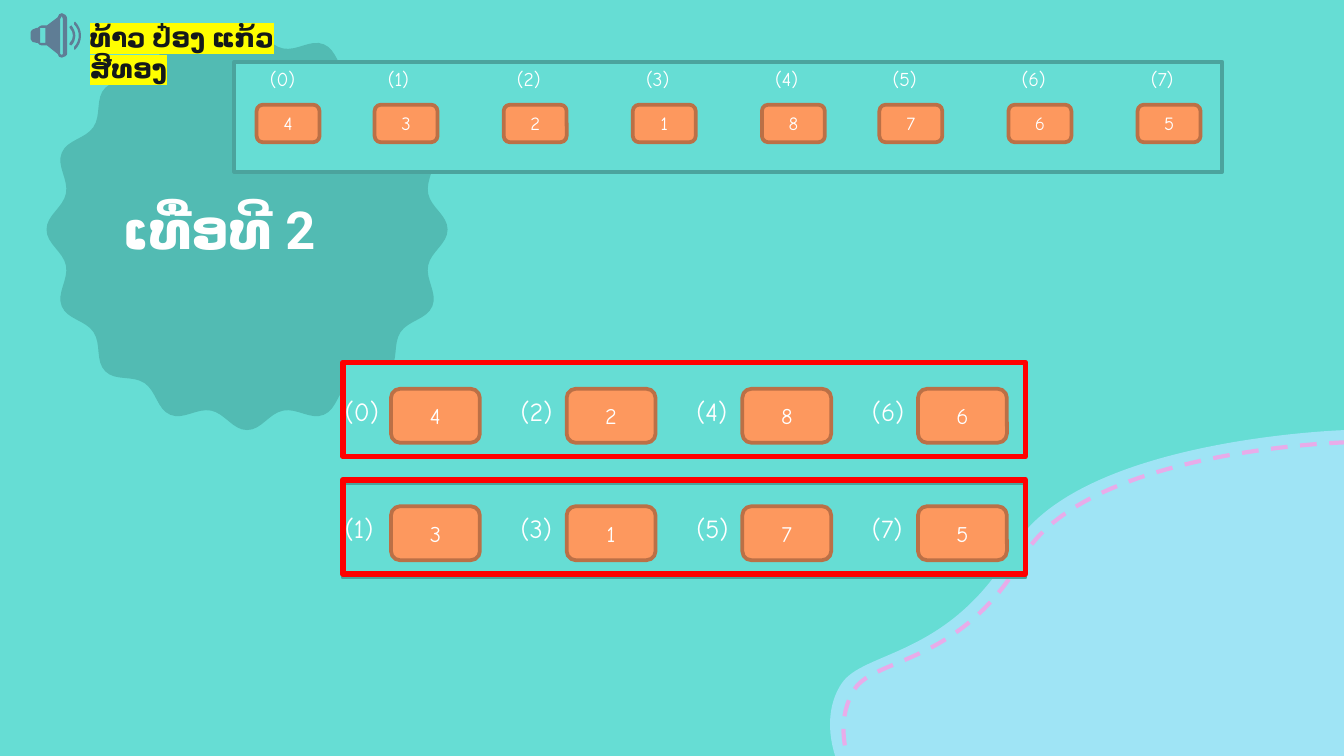
from math import cos, pi, sin

from lxml.etree import SubElement
from pptx import Presentation
from pptx.dml.color import RGBColor as RGB
from pptx.enum.dml import MSO_LINE as DASH
from pptx.enum.shapes import MSO_SHAPE as SHAPE
from pptx.enum.text import MSO_ANCHOR as ANCHOR, PP_ALIGN as ALIGN
from pptx.oxml.ns import qn
from pptx.util import Cm, Pt

COLORS = {
    "background": "66DDD4", "wave": "9FE4F5", "stitch": "E8ACE9",
    "badge": "52BBB3", "frame": "4BA39D", "highlight": "FFFF00",
    "card": "FD985E", "card_line": "BB7046", "marker": "FF0000",
    "icon": "5F7D95", "ink": "14181A", "white": "FFFFFF",
}
HAND, SANS = "Comic Neue", "Roboto"


def color(name):
    return RGB.from_string(COLORS[name])


def write(tf, text, size=14, font=HAND, fill="white", bold=False,
          align=ALIGN.LEFT, anchor=ANCHOR.TOP, highlight=None):
    tf.word_wrap = True
    tf.vertical_anchor = anchor
    p = tf.paragraphs[0]
    p.alignment = align
    r = p.add_run()
    r.text = text
    r.font.size = Pt(size)
    r.font.bold = bold
    r.font.name = font
    r.font.color.rgb = color(fill)
    rpr = r.font._element
    if highlight:
        mark = SubElement(rpr, qn("a:highlight"))
        SubElement(mark, qn("a:srgbClr")).set("val", COLORS[highlight])
        rpr.find(qn("a:latin")).addprevious(mark)
    for tag in ("a:ea", "a:cs"):
        SubElement(rpr, qn(tag)).set("typeface", font)


def bend(sp, segments):
    lines = list(sp._element.iter(qn("a:lnTo")))
    for line, seg in zip(lines, segments):
        if len(seg) == 6:
            line.tag = qn("a:cubicBezTo")
            end = line[0]
            for x, y in (seg[:2], seg[2:4]):
                pt = SubElement(line, qn("a:pt"))
                pt.set("x", str(Cm(x) - sp.left))
                pt.set("y", str(Cm(y) - sp.top))
            line.append(end)


class Board:
    def __init__(self, prs):
        self.s = prs.slides.add_slide(prs.slide_layouts[5])
        self.s.background.fill.solid()
        self.s.background.fill.fore_color.rgb = color("background")

    def style(self, sp, fill=None, line=None, width=2, dash=None):
        sp.shadow.inherit = False
        if fill:
            sp.fill.solid()
            sp.fill.fore_color.rgb = color(fill)
        else:
            sp.fill.background()
        if line:
            sp.line.color.rgb = color(line)
            sp.line.width = Pt(width)
            if dash:
                sp.line.dash_style = dash
        else:
            sp.line.fill.background()

    def outline(self, *contours, **style):
        builder = None
        for contour in contours:
            pts = [(Cm(seg[-2]), Cm(seg[-1])) for seg in contour]
            if builder is None:
                builder = self.s.shapes.build_freeform(*pts[0], scale=1.0)
            else:
                builder.move_to(*pts[0])
            builder.add_line_segments(pts[1:], close=contour[0] != contour[-1])
        sp = builder.convert_to_shape()
        bend(sp, [seg for contour in contours for seg in contour[1:]])
        self.style(sp, **style)

    def box(self, x, y, w, h, kind=SHAPE.RECTANGLE, **style):
        sp = self.s.shapes.add_shape(kind, Cm(x), Cm(y), Cm(w), Cm(h))
        self.style(sp, **style)
        return sp

    def card(self, text, x, y, w, h, size):
        sp = self.box(x, y, w, h, SHAPE.ROUNDED_RECTANGLE, fill="card", line="card_line")
        write(sp.text_frame, text, size=size, align=ALIGN.CENTER, anchor=ANCHOR.MIDDLE)

    def label(self, text, x, y, w, h, **fmt):
        sp = self.s.shapes.add_textbox(Cm(x), Cm(y), Cm(w), Cm(h))
        write(sp.text_frame, text, **fmt)

    def title(self, text, x, y, w, h, **fmt):
        sp = self.s.shapes.title
        sp.left, sp.top, sp.width, sp.height = Cm(x), Cm(y), Cm(w), Cm(h)
        write(sp.text_frame, text, **fmt)
        tree = sp._element.getparent()
        tree.append(sp._element)


def scallops(cx, cy, radius, depth, count):
    step = pi / count

    def handle(i, side):
        r = radius + depth * (-1) ** i
        a, reach = i * step, 0.38 * side * radius * step
        return (cx + r * sin(a) + reach * cos(a), cy - r * cos(a) + reach * sin(a))

    return [handle(0, 0)] + [handle(i, 1) + handle(i + 1, -1) + handle(i + 1, 0)
                             for i in range(2 * count)]


def draw_background(board):
    board.outline([(25.43, 14.33), (25.43, 8.13),
                   (25.43, 8.13, 20.37, 8.28, 19.15, 10.36),
                   (17.93, 12.45, 16.31, 12.29, 15.9, 12.93),
                   (15.49, 13.56, 15.8, 14.33, 15.8, 14.33)], fill="wave")
    board.outline([(25.48, 14.4), (25.48, 8.36),
                   (25.48, 8.36, 20.52, 8.48, 19.33, 10.54),
                   (18.16, 12.57, 16.54, 12.42, 16.15, 13.03),
                   (15.75, 13.67, 16.05, 14.4, 16.05, 14.4)],
                  line="stitch", width=2.25, dash=DASH.DASH)
    board.outline(scallops(4.67, 4.34, 3.64, 0.15, 16), fill="badge")


def draw_speaker(board):
    board.outline([(1.4, 0.43), (1.4, 0.46), (1.52, 0.58, 1.52, 0.76, 1.4, 0.89),
                   (1.4, 0.94), (1.42, 0.94), (1.57, 0.79, 1.57, 0.56, 1.42, 0.41)],
                  fill="icon")
    board.outline([(1.31, 0.51), (1.32, 0.53), (1.4, 0.61, 1.4, 0.74, 1.32, 0.81),
                   (1.31, 0.84), (1.35, 0.86), (1.45, 0.76, 1.45, 0.61, 1.35, 0.48)],
                  fill="icon")
    horn = [(1.17, 0.25), (1.14, 0.25, 1.09, 0.28, 1.09, 0.33), (0.89, 0.48),
            (0.79, 0.48), (0.76, 0.48, 0.74, 0.51, 0.71, 0.53), (0.69, 0.53),
            (0.64, 0.53, 0.58, 0.58, 0.58, 0.61), (0.58, 0.74),
            (0.58, 0.79, 0.64, 0.81, 0.69, 0.81), (0.71, 0.81),
            (0.74, 0.84, 0.76, 0.86, 0.79, 0.86), (0.89, 0.86), (1.09, 1.02),
            (1.09, 1.07, 1.14, 1.09, 1.17, 1.09),
            (1.22, 1.09, 1.27, 1.04, 1.27, 1.02), (1.27, 0.36),
            (1.27, 0.3, 1.22, 0.25, 1.17, 0.25)]
    magnet_hole = [(0.86, 0.53), (0.86, 0.81), (0.76, 0.81), (0.76, 0.53)]
    cone_hole = [(1.17, 0.3), (1.19, 0.36), (1.19, 1.02), (1.17, 1.04),
                 (1.14, 1.02), (1.14, 0.36)]
    board.outline(horn, magnet_hole, cone_hole, fill="icon")


def main():
    prs = Presentation()
    prs.slide_width, prs.slide_height = Cm(25.4), Cm(14.29)
    board = Board(prs)
    values = "43218765"

    draw_background(board)
    for y in (9.14, 6.85):
        board.box(6.48, y, 12.9, 1.78, fill="background", line="frame")
    board.title("ເທື່ອທີ 2", 0.66, 3.61, 6.95, 1.45, size=28, font=SANS,
                bold=True, align=ALIGN.CENTER)

    for row in range(2):
        drop = 2.22 * row
        board.box(6.48, 6.85 + drop, 12.9, 1.78, line="marker", width=3)
        for col, index in enumerate(range(row, 8, 2)):
            x = 7.39 + 3.32 * col
            board.label(f"({index})", x - 1.12, 7.35 + drop, 1.68, 0.86)
            board.card(values[index], x, 7.35 + drop, 1.68, 1.02, size=12)

    draw_speaker(board)
    board.label("ທ້າວ ປ໋ອງ ແກ້ວສີທອງ", 1.45, 0.28, 5.4, 0.86, font=SANS,
                fill="ink", bold=True, highlight="highlight")

    board.box(4.43, 1.17, 18.67, 2.08, fill="background", line="frame")
    lefts = (4.85, 7.08, 9.52, 11.96, 14.4, 16.62, 19.06, 21.5)
    for index, (x, value) in enumerate(zip(lefts, values)):
        board.card(value, x, 1.98, 1.19, 0.71, size=10)
        board.label(f"({index})", x, 1.14, 1.19, 0.74, size=10.5)

    prs.save("out.pptx")


if __name__ == "__main__":
    main()
